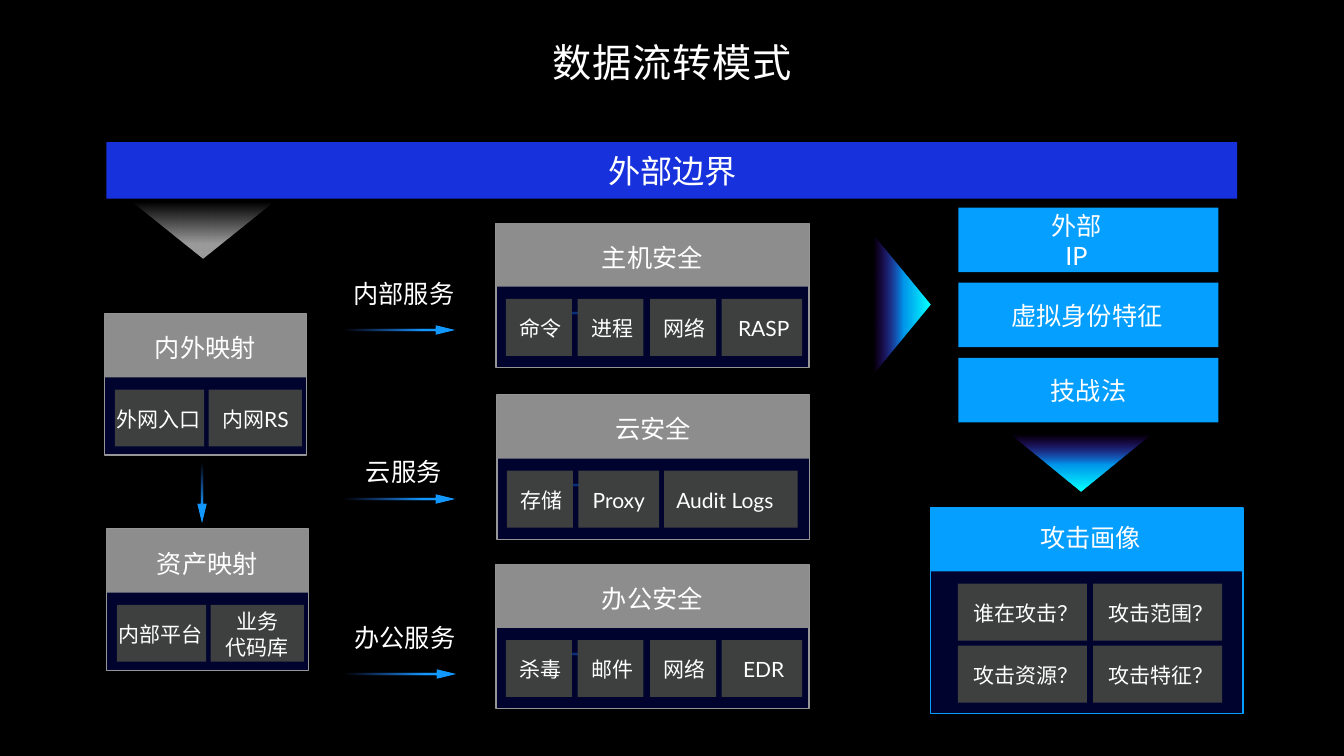
from lxml.etree import SubElement
from pptx import Presentation
from pptx.dml.color import RGBColor
from pptx.enum.shapes import MSO_SHAPE as Shape
from pptx.enum.text import MSO_ANCHOR as Anchor, PP_ALIGN as Align
from pptx.oxml.ns import qn
from pptx.util import Pt

PX = 9144  # 100 px to the inch
SLIDE = (2667, 1500)

THEME = {
    "font": "Lato", "text": "FFFFFF", "background": "000000",
    "banner": "1732DC", "sky": "059FFF", "grey": "8D8D8D",
    "border": "969696", "body": "01064D", "tile": "3E3F3F",
    "title": 56, "boundary": 46, "heading": 36, "item": 30,
}
# Gradient stops: position %, colour, opacity %
ARROW_FADE = [(0, "3173F6", 0), (71, "1499FF", 100)]
CYAN_FADE = [(3, "00FFFF", 100), (48, "00A2FF", 91), (100, "7700FF", 0)]
GREY_FADE = [(27, "FFFFFF", 60), (100, "FFFFFF", 0)]

TITLE = ("数据流转模式", (500, 72, 1667, 101))
BANNER = (211, 282, 2244, 112)
BOUNDARY = ("外部边界", (1146, 297, 377, 82))

# Text, label left, label width
CLUES = [("外部IP", 2080, 112), ("虚拟身份特征", 2003, 308), ("技战法", 2082, 156)]
CLUE_LEFT, CLUE_TOP, CLUE_STEP, CLUE_SIZE = 1902, 412, 149, (516, 128)

# Text, label box, arrow left, arrow top
SERVICES = [
    ("内部服务", (698, 550, 207, 65), 681, 646),
    ("云服务", (723, 902, 156, 65), 682, 982),
    ("办公服务", (700, 1232, 207, 65), 683, 1328),
]
ARROW_SIZE = (222, 18)
DOWN_ARROW = (340, 969, 122, 18)

# Box before turning, rotation, stops
POINTERS = [
    ((1651, 549, 278, 112), 90, CYAN_FADE),
    ((264, 401, 278, 112), 180, GREY_FADE),
    ((2006, 863, 278, 112), 180, CYAN_FADE),
]

# Tile columns, relative to the panel: left, width, label left, label width
PAIR = [(21, 177, 15, 184), (207, 185, 220, 160)]
FOUR = [(20, 131, 32, 115), (162, 131, 173, 115),
        (306, 131, 317, 115), (448, 160, 461, 141)]
THREE = [(20, 131, 31, 115), (162, 160, 162, 160), (332, 265, 340, 225)]
GRID = [(55, 256, 73, 233), (323, 256, 341, 233)]

PANELS = [
    {"title": "内外映射", "box": (207, 623, 401, 280), "columns": PAIR,
     "rows": [["外网入口", "内网RS"]]},
    {"title": "主机安全", "box": (984, 443, 621, 286), "columns": FOUR,
     "rows": [["命令", "进程", "网络", "RASP"]], "link": True},
    {"title": "云安全", "box": (986, 784, 621, 286), "columns": THREE,
     "rows": [["存储", "Proxy", "Audit Logs"]], "link": True},
    {"title": "办公安全", "box": (984, 1120, 621, 286), "columns": FOUR,
     "rows": [["杀毒", "邮件", "网络", "EDR"]], "link": True},
    {"title": "攻击画像", "box": (1846, 1008, 621, 408), "columns": GRID,
     "rows": [["谁在攻击？", "攻击范围？"], ["攻击资源？", "攻击特征？"]],
     "header": "sky", "border": "sky", "title_shift": (8, -8)},
    {"title": "资产映射", "box": (211, 1050, 401, 280), "columns": PAIR,
     "rows": [["内部平台", "业务\n代码库"]]},
]
HEADER_HEIGHT, TILE_TOP, TILE_HEIGHT, ROW_STEP = 126, 150, 113, 123


def emu(*lengths):
    return [round(length * PX) for length in lengths]


def apply(target, values):
    for name, value in values.items():
        setattr(target, name, value)


def set_alpha(colour_element, percent):
    SubElement(colour_element, qn("a:alpha"), val=str(percent * 1000))


def flat(shape):
    """Remove the shadow and the outline."""
    shape.shadow.inherit = False
    shape.line.fill.background()


def fade(shape, stops, angle):
    shape.fill.gradient()
    shape.fill.gradient_angle = angle
    stop_list = next(shape._element.spPr.iter(qn("a:gsLst")))
    for old in list(stop_list):
        stop_list.remove(old)
    for position, colour, opacity in stops:
        stop = SubElement(stop_list, qn("a:gs"), pos=str(position * 1000))
        set_alpha(SubElement(stop, qn("a:srgbClr"), val=colour), opacity)


def rect(parent, box, colour, border=None, opacity=100):
    shape = parent.add_shape(Shape.RECTANGLE, *emu(*box))
    flat(shape)
    shape.fill.solid()
    shape.fill.fore_color.rgb = RGBColor.from_string(THEME[colour])
    if opacity < 100:
        set_alpha(next(shape._element.spPr.iter(qn("a:srgbClr"))), opacity)
    if border:
        shape.line.color.rgb = RGBColor.from_string(THEME[border])
        shape.line.width = Pt(2)


def label(parent, text, box, size):
    frame = parent.add_textbox(*emu(*box)).text_frame
    margins = dict.fromkeys(
        ("margin_left", "margin_top", "margin_right", "margin_bottom"), 2 * PX)
    apply(frame, {"word_wrap": True, "vertical_anchor": Anchor.MIDDLE,
                  "text": text, **margins})
    for paragraph in frame.paragraphs:
        paragraph.alignment = Align.CENTER
        for run in paragraph.runs:
            apply(run.font, {"name": THEME["font"], "size": Pt(THEME[size])})
            run.font.color.rgb = RGBColor.from_string(THEME["text"])
    return frame


def arrow(parent, box, rotation=0):
    shape = parent.add_shape(Shape.RIGHT_ARROW, *emu(*box))
    flat(shape)
    shape.adjustments[0], shape.adjustments[1] = 0.284, 2.241
    shape.rotation = rotation
    fade(shape, ARROW_FADE, 0)


def pointer(parent, box, rotation, stops):
    """Triangle drawn pointing up, then turned."""
    left, top, width, height = box
    outline = parent.build_freeform(*emu(left + width / 2, top))
    outline.add_line_segments([emu(left + width, top + height),
                               emu(left, top + height)], close=True)
    shape = outline.convert_to_shape()
    flat(shape)
    shape.rotation = rotation
    fade(shape, stops, 270)


def panel(slide, spec):
    parent = slide.shapes.add_group_shape().shapes
    left, top, width, height = spec["box"]
    if spec.get("link"):
        arrow(parent, (left + 36, top + 169, *ARROW_SIZE))
    rect(parent, spec["box"], "body", spec.get("border", "border"), 60)
    rect(parent, (left, top, width, HEADER_HEIGHT), spec.get("header", "grey"))
    dx, dy = spec.get("title_shift", (0, 0))
    label(parent, spec["title"], (left + 80 + dx, top + 25 + dy, width - 160, 84),
          "heading")
    for index, row in enumerate(spec["rows"]):
        y = top + TILE_TOP + index * ROW_STEP
        for text, (x, tile_width, label_x, label_width) in zip(row, spec["columns"]):
            rect(parent, (left + x, y, tile_width, TILE_HEIGHT), "tile")
            label(parent, text, (left + label_x, y + 27, label_width, 62), "item")


def main():
    deck = Presentation()
    deck.slide_width, deck.slide_height = emu(*SLIDE)
    slide = deck.slides.add_slide(deck.slide_layouts[6])
    slide.background.fill.solid()
    slide.background.fill.fore_color.rgb = RGBColor.from_string(THEME["background"])
    shapes = slide.shapes

    title = label(shapes, *TITLE, "title")
    title.paragraphs[0].runs[0].font._element.set("spc", "110")
    rect(shapes, BANNER, "banner")
    label(shapes, *BOUNDARY, "boundary")

    for index, (text, label_left, label_width) in enumerate(CLUES):
        top = CLUE_TOP + index * CLUE_STEP
        rect(shapes, (CLUE_LEFT, top, *CLUE_SIZE), "sky")
        label(shapes, text, (label_left, top + 32, label_width, 65), "heading")
    for box, rotation, stops in POINTERS:
        pointer(shapes, box, rotation, stops)
    for spec in PANELS:
        panel(slide, spec)
    for text, box, left, top in SERVICES:
        arrow(shapes, (left, top, *ARROW_SIZE))
        label(shapes, text, box, "heading")
    arrow(shapes, DOWN_ARROW, 90)

    deck.save("out.pptx")


if __name__ == "__main__":
    main()
